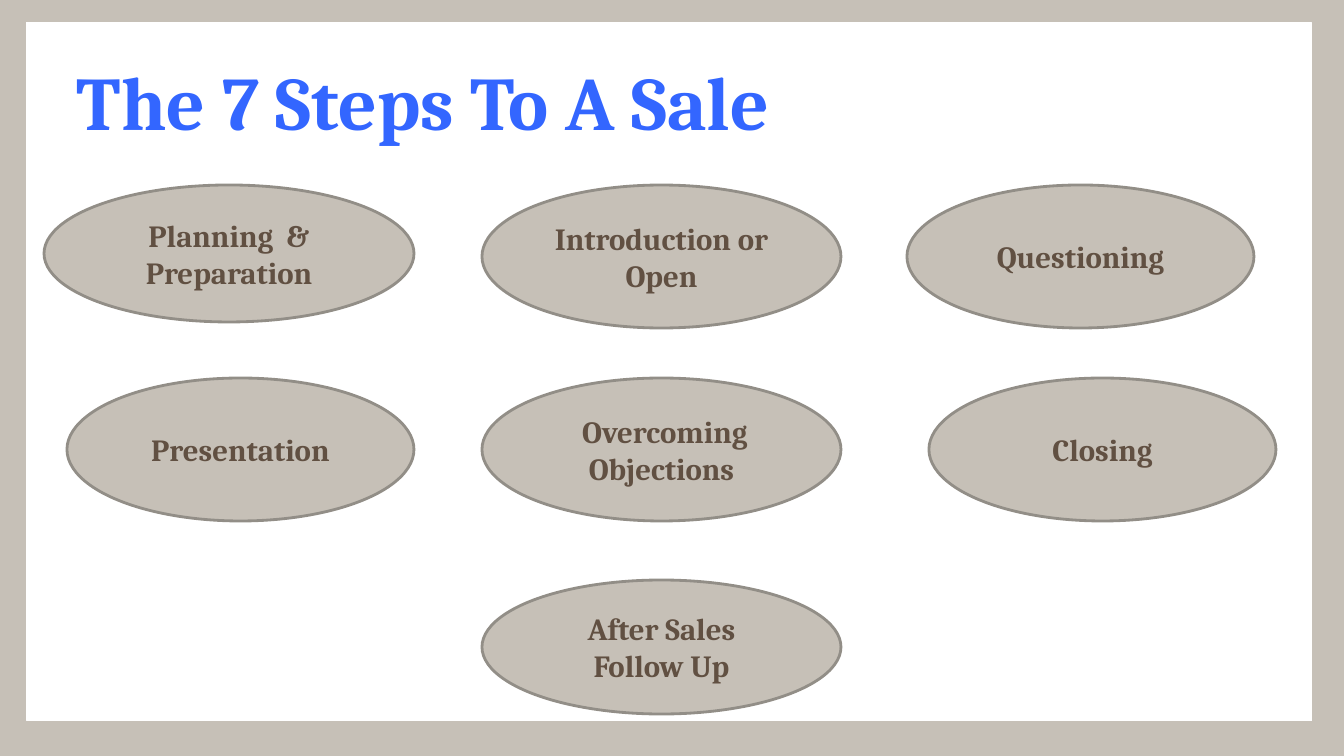
from dataclasses import dataclass

from pptx import Presentation
from pptx.dml.color import RGBColor
from pptx.enum.shapes import MSO_SHAPE
from pptx.enum.text import MSO_ANCHOR, PP_ALIGN
from pptx.util import Emu, Pt


@dataclass(frozen=True)
class Theme:
    font: str = "Cambria"
    stone: str = "C6C0B7"
    outline: str = "928E87"
    panel: str = "FFFFFF"
    title: str = "3366FF"
    step: str = "615042"
    title_size: int = 54
    step_size: int = 22


class SlideBuilder:
    emu_per_px = 914400 / 100.8

    def __init__(self, deck, theme):
        self.theme = theme
        deck.slide_width, deck.slide_height = self.px(1344, 756)
        self.page = deck.slides.add_slide(deck.slide_layouts[6])
        background = self.page.background.fill
        background.solid()
        background.fore_color.rgb = RGBColor.from_string(theme.stone)

    def px(self, *lengths):
        return [Emu(round(length * self.emu_per_px)) for length in lengths]

    def shape(self, kind, bounds, fill, line, weight):
        shape = self.page.shapes.add_shape(kind, *self.px(*bounds))
        shape.shadow.inherit = False
        shape.fill.solid()
        shape.fill.fore_color.rgb = RGBColor.from_string(fill)
        shape.line.color.rgb = RGBColor.from_string(line)
        shape.line.width = Pt(weight)
        return shape

    def label(self, shape, text, size, color, align, anchor):
        frame = shape.text_frame
        frame.word_wrap = True
        frame.vertical_anchor = anchor
        para = frame.paragraphs[0]
        para.text = text
        para.alignment = align
        para.font.name = self.theme.font
        para.font.size = Pt(size)
        para.font.bold = True
        para.font.color.rgb = RGBColor.from_string(color)

    def panel(self, *bounds):
        color = self.theme.panel
        self.shape(MSO_SHAPE.RECTANGLE, bounds, color, color, 0.75)

    def title(self, text, *bounds):
        box = self.page.shapes.add_textbox(*self.px(*bounds))
        self.label(box, text, self.theme.title_size, self.theme.title,
                   PP_ALIGN.LEFT, MSO_ANCHOR.TOP)

    def step(self, text, *bounds):
        oval = self.shape(MSO_SHAPE.OVAL, bounds, self.theme.stone, self.theme.outline, 2)
        self.label(oval, text, self.theme.step_size, self.theme.step,
                   PP_ALIGN.CENTER, MSO_ANCHOR.MIDDLE)


def main():
    deck = Presentation()
    slide = SlideBuilder(deck, Theme())
    slide.panel(27, 23, 1285, 698)
    slide.title("The 7 Steps To A Sale", 67, 50, 1210, 76)

    first_row, second_row, third_row = 185, 378, 580
    middle, middle_width, side_width, height = 482, 359, 347, 143
    steps = [
        ("Planning  & Preparation", 44, first_row, 370, 137),
        ("Introduction or Open", middle, first_row, middle_width, height),
        ("Questioning", 907, first_row, side_width, height),
        ("Presentation", 67, second_row, side_width, height),
        (" Overcoming Objections", middle, second_row, middle_width, height),
        ("Closing", 929, second_row, side_width, height),
        ("After Sales Follow Up", middle, third_row, middle_width, 134),
    ]
    for step in steps:
        slide.step(*step)
    deck.save("out.pptx")


if __name__ == "__main__":
    main()
